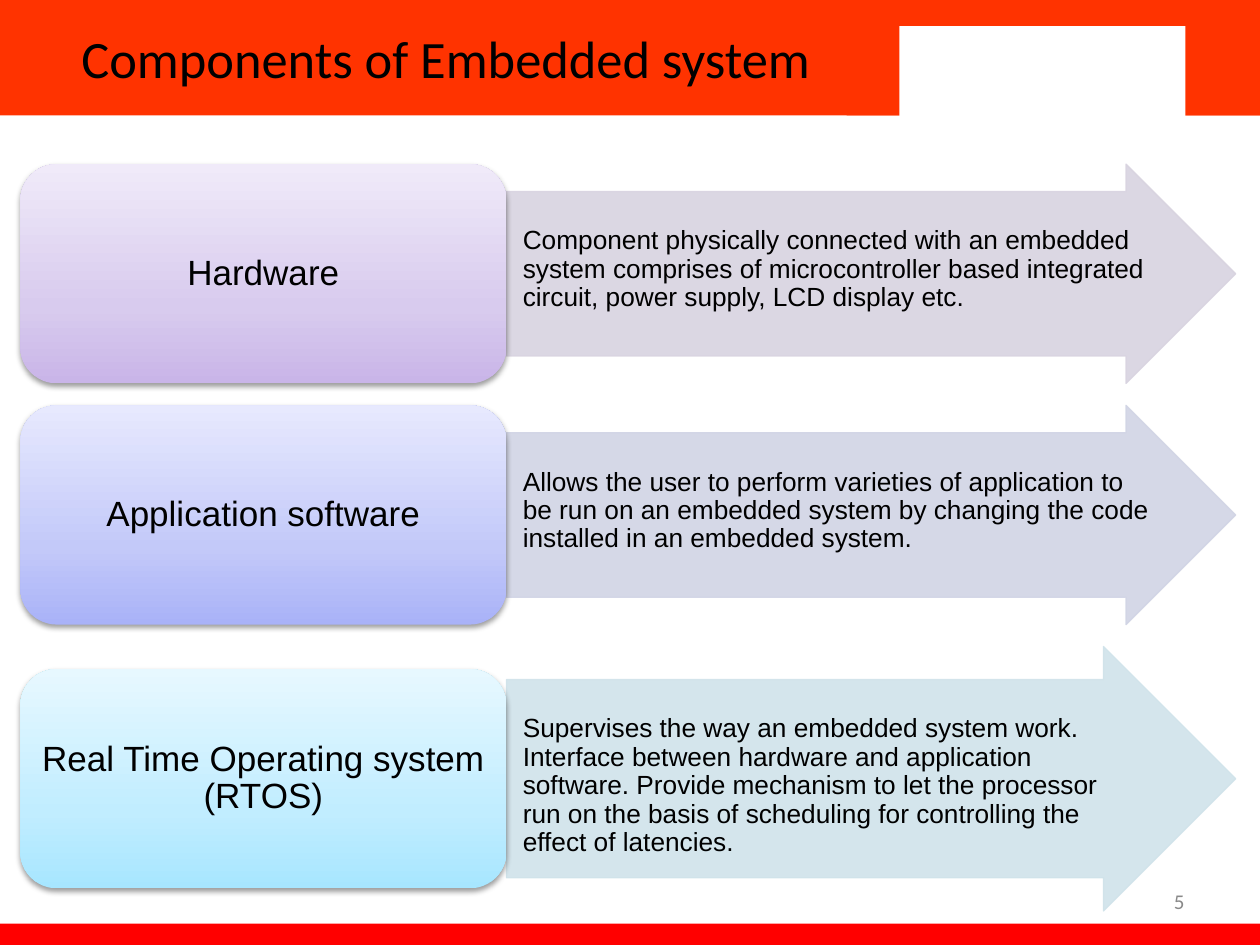
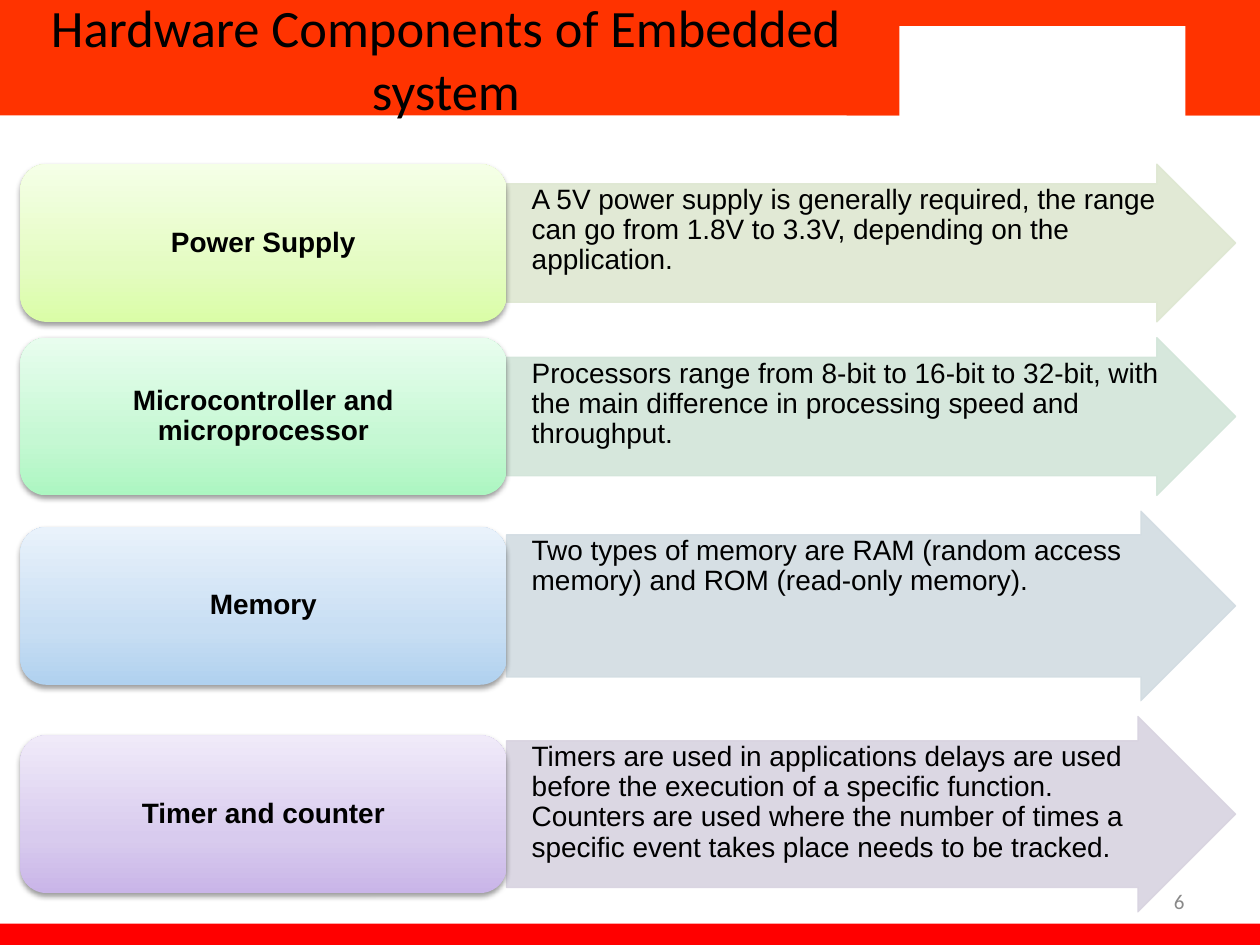
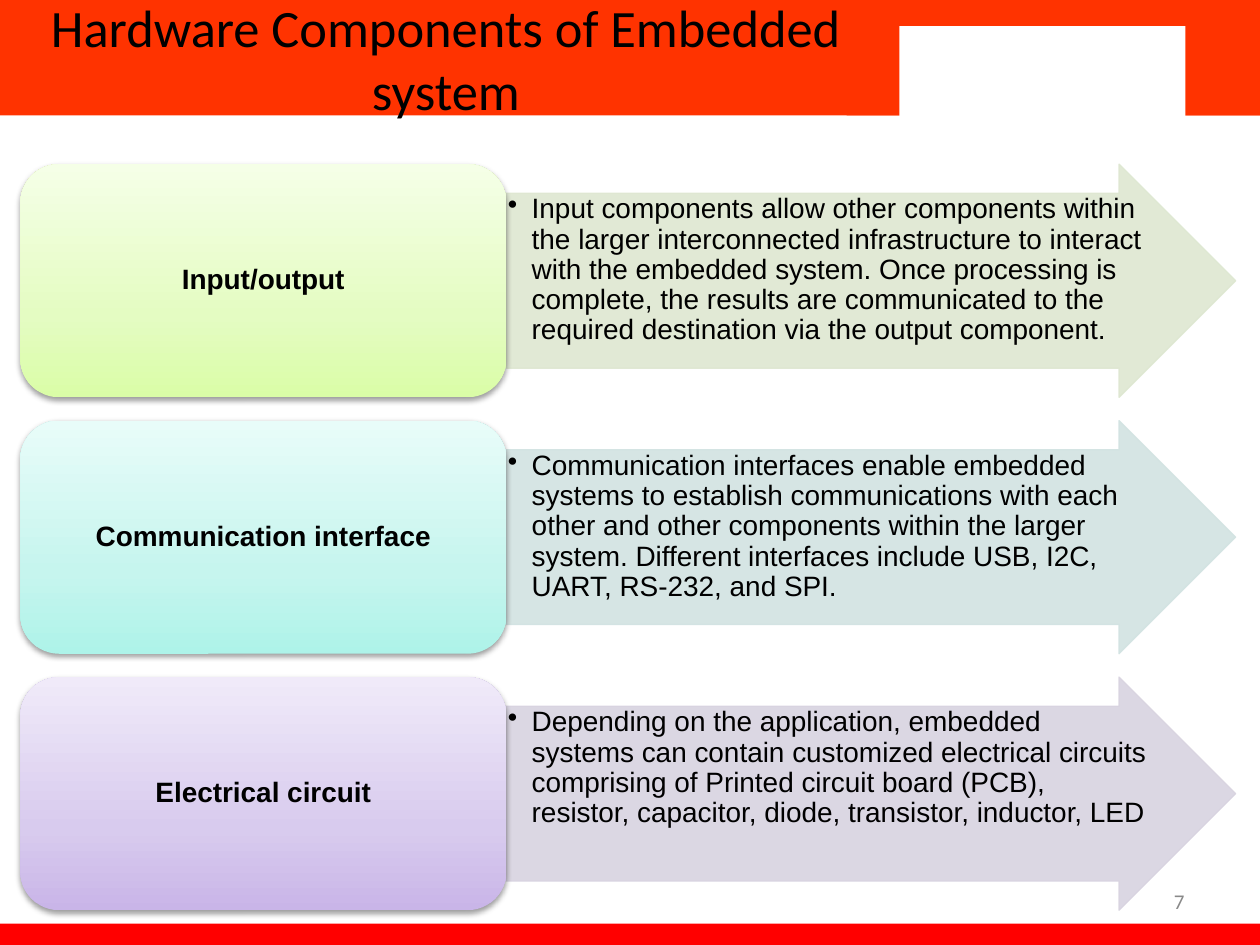
import pptx
import pptx.dml.color
import pptx.enum.dml
import pptx.enum.shapes
import pptx.enum.text
import pptx.oxml
import pptx.oxml.ns
import pptx.util
from lxml import etree

Cm, Pt = pptx.util.Cm, pptx.util.Pt
RGB = pptx.dml.color.RGBColor.from_string
SHAPE = pptx.enum.shapes.MSO_SHAPE
ALIGN = pptx.enum.text.PP_ALIGN
ANCHOR = pptx.enum.text.MSO_ANCHOR
qn = pptx.oxml.ns.qn


class Theme:
    text, number, white = "000000", "898989", "FFFFFF"
    header, footer = "FF3300", "FF0000"
    title_font, body_font = "Calibri", "Arial"
    title_size, number_size = 30, 12
    # label gradient from bottom to top, then arrow colour
    tints = {
        "violet": ("C9B5E8", "D8CBEE", "F0EAF9", "D8D3E0"),
        "indigo": ("A9B2F8", "C3C9F9", "E7E9FE", "D1D4E5"),
        "sky": ("A7E6FF", "C1EDFF", "E7F8FF", "D0E3EA"),
        "lime": ("DAFDA7", "E4FCC2", "F5FFE7", "DEE7D1"),
        "green": ("ACF6C1", "C5F8D3", "E8FDEE", "D2E5D9"),
        "steel": ("B0D1EF", "C8DEF3", "E9F2FB", "D2DCE2"),
        "aqua": ("AEF3E9", "C6F5EE", "E8FCF9", "D2E3E2"),
    }
    gradient_stops = (0, 35, 100)
    arrow_opacity = 90


FIRST_NUMBER = 5

# Lengths are in cm; each row is label, description, tint, arrow height.
SLIDES = [
    {
        "title": "Components of Embedded system",
        "label_size": 20, "label_bold": False,
        "text_size": 15, "margin": 0.3, "drop": 0.72, "bullet": False,
        "rows": [
            ("Hardware",
             "Component physically connected with an embedded system comprises of "
             "microcontroller based integrated circuit, power supply, LCD display etc.",
             "violet", 4.42),
            ("Application software",
             "Allows the user to perform varieties of application to be run on an "
             "embedded system by changing the code installed in an embedded system.",
             "indigo", 4.42),
            ("Real Time Operating system (RTOS)",
             "Supervises the way an embedded system work. Interface between hardware "
             "and application software. Provide mechanism to let the processor run on "
             "the basis of scheduling for controlling the effect of latencies.",
             "sky", 5.33),
        ],
    },
    {
        "title": "Hardware Components of Embedded system",
        "label_size": 16, "label_bold": True,
        "text_size": 16, "margin": 0.48, "drop": 0.03, "bullet": False,
        "rows": [
            ("Power Supply",
             "A 5V power supply is generally required, the range can go from 1.8V to "
             "3.3V, depending on the application.",
             "lime", 3.18),
            ("Microcontroller and microprocessor",
             "Processors range from 8-bit to 16-bit to 32-bit, with the main "
             "difference in processing speed and throughput.",
             "green", 3.18),
            ("Memory",
             "Two types of memory are RAM (random access memory) and ROM (read-only "
             "memory).",
             "steel", 3.82),
            ("Timer and counter",
             "Timers are used in applications delays are used before the execution of "
             "a specific function. Counters are used where the number of times a "
             "specific event takes place needs to be tracked.",
             "violet", 3.94),
        ],
    },
    {
        "title": "Hardware Components of Embedded system",
        "label_size": 16, "label_bold": True,
        "text_size": 16, "margin": 0.48, "drop": 0.03, "bullet": True,
        "rows": [
            ("Input/output",
             "Input components allow other components within the larger interconnected "
             "infrastructure to interact with the embedded system. Once processing is "
             "complete, the results are communicated to the required destination via "
             "the output component.",
             "lime", 4.7),
            ("Communication interface",
             "Communication interfaces enable embedded systems to establish "
             "communications with each other and other components within the larger "
             "system. Different interfaces include USB, I2C, UART, RS-232, and SPI.",
             "aqua", 4.7),
            ("Electrical circuit",
             "Depending on the application, embedded systems can contain customized "
             "electrical circuits comprising of Printed circuit board (PCB), resistor, "
             "capacitor, diode, transistor, inductor, LED",
             "violet", 4.7),
        ],
    },
]

PAGE = (25.4, 19.05)
BANDS = [
    ((0, 0, 25.4, 2.33), Theme.header),
    ((0, 18.62, 25.4, 0.55), Theme.footer),
    ((17.07, 0, 8.33, 2.33), Theme.header),
    ((18.13, 0.53, 5.77, 1.9), Theme.white),
]
TITLE_BOX = (0, 0, 17.98, 2.33)
NUMBER_BOX = (18.21, 17.65, 5.92, 1.02)
ROWS_TOP = 3.31
LABEL_LEFT, LABEL_WIDTH, ARROW_WIDTH = 0.41, 9.8, 14.7
GAP_RATIO = 0.1  # gap between rows, as a share of the label height


def lengths(box):
    return [Cm(value) for value in box]


def add_plain_shape(slide, preset, box):
    shape = slide.shapes.add_shape(preset, *lengths(box))
    shape.shadow.inherit = False
    shape.line.fill.background()
    return shape


def write(frame, text, font, size, colour, align, anchor, insets=(0.25, 0.13, 0.25, 0.13)):
    """Fill a frame with one paragraph and return that paragraph."""
    frame.word_wrap = True
    frame.auto_size = pptx.enum.text.MSO_AUTO_SIZE.NONE
    frame.vertical_anchor = anchor
    (frame.margin_left, frame.margin_top,
     frame.margin_right, frame.margin_bottom) = lengths(insets)
    paragraph = frame.paragraphs[0]
    paragraph.text = text
    paragraph.alignment = align
    paragraph.font.name = font
    paragraph.font.size = Pt(size)
    paragraph.font.color.rgb = RGB(colour)
    return paragraph


def add_bands_to_layout(layout, slide):
    """Draw the bands on a slide, then hand them to its layout."""
    for placeholder in list(layout.placeholders)[1:]:
        layout.placeholders.element.remove(placeholder.element)
    bands = []
    for box, colour in BANDS:
        band = add_plain_shape(slide, SHAPE.RECTANGLE, box)
        band.fill.solid()
        band.fill.fore_color.rgb = RGB(colour)
        bands.append(band.element)
    for band in bands:
        layout.shapes.element.append(band)


def add_label(slide, text, box, tint, size, bold):
    label = add_plain_shape(slide, SHAPE.ROUNDED_RECTANGLE, box)
    label.fill.gradient()
    label.fill.gradient_angle = 90
    properties = label.element.spPr
    stops = properties.find(".//" + qn("a:gsLst"))
    for stop in list(stops):
        stops.remove(stop)
    for position, colour in zip(Theme.gradient_stops, Theme.tints[tint]):
        stop = etree.SubElement(stops, qn("a:gs"), pos=str(position * 1000))
        etree.SubElement(stop, qn("a:srgbClr"), val=colour)
    shadow = etree.SubElement(
        properties.find(qn("a:effectLst")), qn("a:outerShdw"),
        blurRad="40000", dist="20000", dir="5400000", rotWithShape="0")
    black = etree.SubElement(shadow, qn("a:srgbClr"), val="000000")
    etree.SubElement(black, qn("a:alpha"), val="38000")
    paragraph = write(label.text_frame, text, Theme.body_font, size, Theme.text,
                      ALIGN.CENTER, ANCHOR.MIDDLE, (0.2, 0.1, 0.2, 0.1))
    paragraph.line_spacing = 0.9
    paragraph.font.bold = bold


def add_arrow(slide, text, box, tint, style):
    arrow = add_plain_shape(slide, SHAPE.RIGHT_ARROW, box)
    arrow.adjustments[0], arrow.adjustments[1] = 0.75, 0.5
    arrow.line.width = Pt(0.75)
    for fill in (arrow.fill, arrow.line.fill):
        fill.solid()
        fill.fore_color.rgb = RGB(Theme.tints[tint][-1])
    for colour in arrow.element.spPr.iter(qn("a:srgbClr")):
        etree.SubElement(colour, qn("a:alpha"), val=str(Theme.arrow_opacity * 1000))
    paragraph = write(arrow.text_frame, text, Theme.body_font, style["text_size"],
                      Theme.text, ALIGN.LEFT, ANCHOR.TOP,
                      (0.03, style["drop"], 0.03, 0.03))
    paragraph.line_spacing = 0.9
    margin = Cm(style["margin"])
    layout = paragraph._p.get_or_add_pPr()
    layout.set("marL", str(margin))
    layout.set("indent", str(-margin if style["bullet"] else 0))
    if style["bullet"]:
        bullet = etree.Element(qn("a:buChar"), char="•")
        layout.find(qn("a:defRPr")).addprevious(bullet)


def add_rows(slide, content):
    label_height = min(row[-1] for row in content["rows"])
    top = ROWS_TOP
    for name, description, tint, height in content["rows"]:
        add_arrow(slide, description,
                  (LABEL_LEFT + LABEL_WIDTH, top, ARROW_WIDTH, height), tint, content)
        label_top = top + (height - label_height) / 2
        add_label(slide, name, (LABEL_LEFT, label_top, LABEL_WIDTH, label_height),
                  tint, content["label_size"], content["label_bold"])
        top += height + GAP_RATIO * label_height


def add_title(slide, text):
    title = slide.shapes.title
    title.left, title.top, title.width, title.height = lengths(TITLE_BOX)
    write(title.text_frame, text, Theme.title_font, Theme.title_size, Theme.text,
          ALIGN.CENTER, ANCHOR.MIDDLE)


def add_number(slide, number):
    box = slide.shapes.add_textbox(*lengths(NUMBER_BOX))
    write(box.text_frame, str(number), Theme.title_font, Theme.number_size,
          Theme.number, ALIGN.RIGHT, ANCHOR.MIDDLE)


def main():
    deck = pptx.Presentation()
    deck.slide_width, deck.slide_height = lengths(PAGE)
    title_only = deck.slide_layouts[5]
    for number, content in enumerate(SLIDES, FIRST_NUMBER):
        slide = deck.slides.add_slide(title_only)
        if number == FIRST_NUMBER:
            add_bands_to_layout(title_only, slide)
        add_title(slide, content["title"])
        add_number(slide, number)
        add_rows(slide, content)
    deck.save("out.pptx")


if __name__ == "__main__":
    main()
